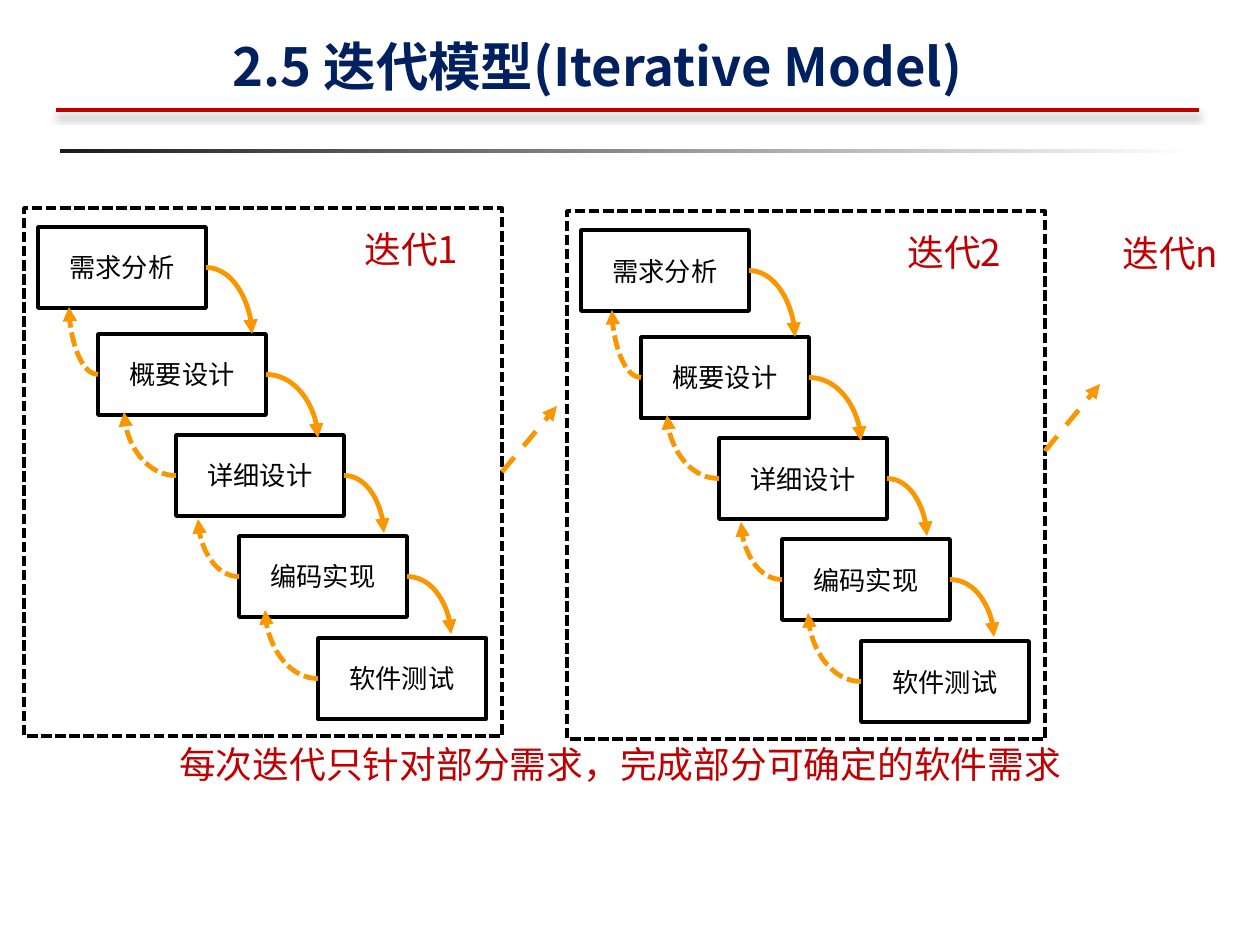
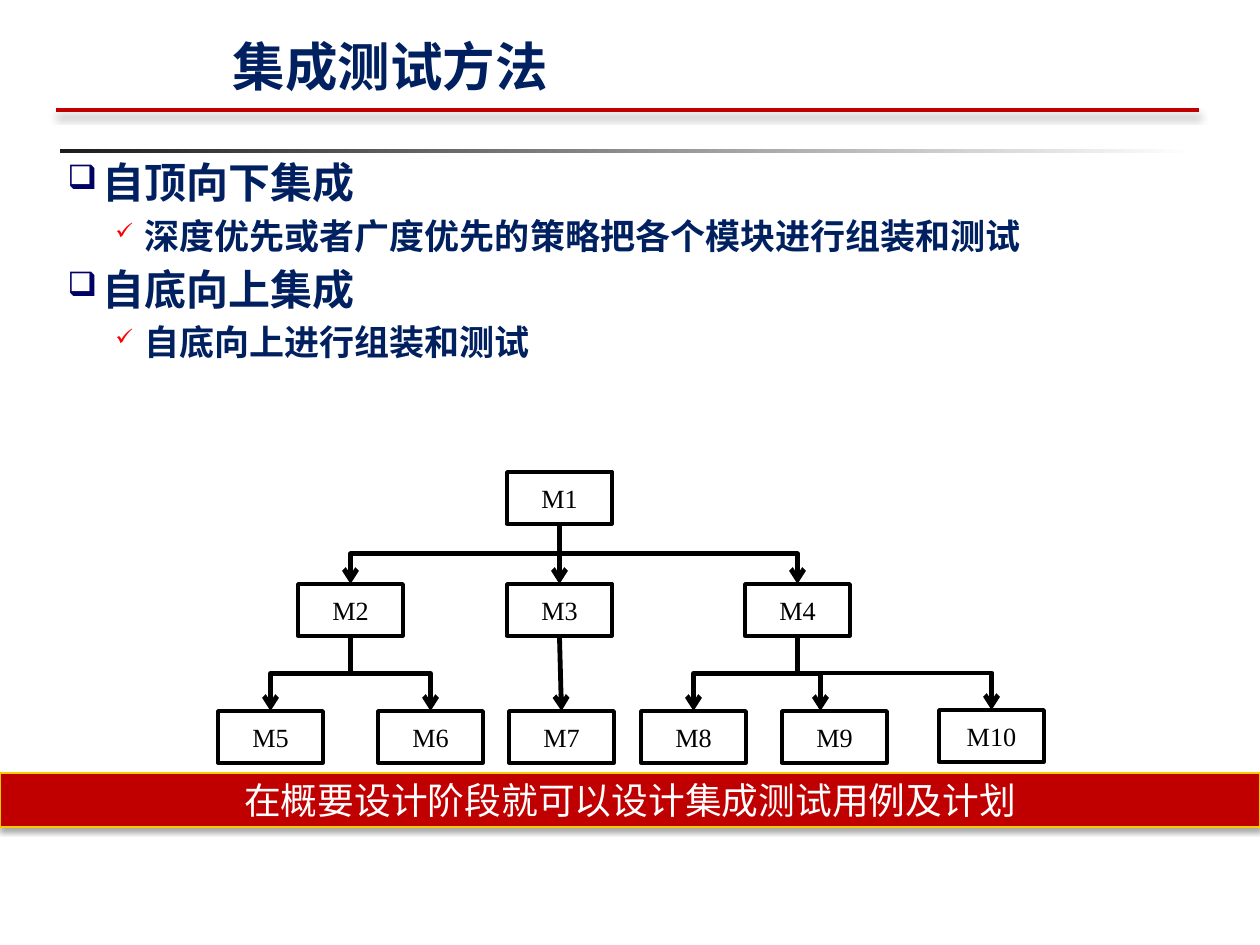
from lxml.etree import SubElement
from pptx import Presentation
from pptx.dml.color import RGBColor
from pptx.enum.dml import MSO_LINE_DASH_STYLE as Dash
from pptx.enum.shapes import MSO_CONNECTOR as Link, MSO_SHAPE as Shape
from pptx.enum.text import MSO_ANCHOR as Anchor, PP_ALIGN as Align
from pptx.oxml.ns import qn
from pptx.util import Inches, Pt

PX_PER_INCH = 126
EMU_PER_PT = 12700
SANS = "Noto Sans CJK SC"
SERIF = "Times New Roman"

BLACK = RGBColor(0x00, 0x00, 0x00)
WHITE = RGBColor(0xFF, 0xFF, 0xFF)
CHARCOAL = RGBColor(0x1C, 0x1C, 0x1C)
NAVY = RGBColor(0x00, 0x20, 0x60)
INDIGO = RGBColor(0x00, 0x00, 0x66)
DARK_RED = RGBColor(0xC0, 0x00, 0x00)
RED = RGBColor(0xFF, 0x00, 0x00)
ORANGE = RGBColor(0xF9, 0x96, 0x00)
GOLD = RGBColor(0xFA, 0xCB, 0x00)

STEP_SIZE = (168, 81)
STEPS = [
    ("需求分析", 14, 19),
    ("概要设计", 74, 126),
    ("详细设计", 152, 227),
    ("编码实现", 215, 328),
    ("软件测试", 294, 430),
]
FORWARD_ENDS = [(228, 126), (294, 230), (360, 325), (427, 426)]
BACKWARD_ENDS = [(45, 99), (100, 204), (174, 311), (241, 402)]

MODULE_SIZE = (105, 52)
MODULES = {
    "M1": (507, 472),
    "M2": (298, 584), "M3": (507, 584), "M4": (745, 584),
    "M5": (218, 711), "M6": (378, 711), "M7": (509, 711),
    "M8": (641, 711), "M9": (782, 711), "M10": (939, 710),
}
CALLS = {
    "M1": ["M2", "M3", "M4"],
    "M2": ["M5", "M6"],
    "M3": ["M7"],
    "M4": ["M8", "M9", "M10"],
}
ENTRY_SHIFT = {"M9": -14}

POINTS = [
    (0, "自顶向下集成"),
    (1, "深度优先或者广度优先的策略把各个模块进行组装和测试"),
    (0, "自底向上集成"),
    (1, "自底向上进行组装和测试"),
]
LEVELS = [
    dict(size=24, line=28, before=4.8, margin=35, hang=35,
         mark="❑", color=INDIGO, percent=80),
    dict(size=20, line=24, before=4, margin=77, hang=29,
         mark="✓", color=RED, percent=65),
]


def px(length):
    return round(Inches(1) * length / PX_PER_INCH)


def emu(*lengths):
    return [px(length) for length in lengths]


def style_para(para, size, color, font=SANS, bold=False, align=Align.LEFT):
    para.alignment = align
    for span in para.runs:
        span.font.size = Pt(size)
        span.font.name = font
        span.font.bold = bold
        span.font.color.rgb = color
        SubElement(span._r.get_or_add_rPr(), qn("a:ea"), typeface=SANS)


def set_effects(shape, blur=0, distance=0, opacity=0):
    effects = SubElement(shape.element.spPr, qn("a:effectLst"))
    if opacity:
        shadow = SubElement(effects, qn("a:outerShdw"), dir="5400000", rotWithShape="0",
                            blurRad=str(round(blur * EMU_PER_PT)),
                            dist=str(round(distance * EMU_PER_PT)))
        tint = SubElement(shadow, qn("a:srgbClr"), val=str(BLACK))
        SubElement(tint, qn("a:alpha"), val=str(opacity * 1000))


def add_box(shapes, place, fill=WHITE, line=BLACK, width=2, dash=None, **shadow):
    box = shapes.add_shape(Shape.RECTANGLE, *emu(*place))
    box.fill.solid()
    box.fill.fore_color.rgb = fill
    box.line.color.rgb = line
    box.line.width = Pt(width)
    if dash:
        box.line.dash_style = dash
    set_effects(box, **shadow)
    return box


def write_centred(box, text, size, color, font):
    frame = box.text_frame
    frame.text = text
    frame.word_wrap = True
    frame.vertical_anchor = Anchor.MIDDLE
    frame.margin_top = frame.margin_bottom = 0
    style_para(frame.paragraphs[0], size, color, font, align=Align.CENTER)


def add_label(shapes, place, text, align=Align.LEFT):
    frame = shapes.add_textbox(*emu(*place)).text_frame
    frame.word_wrap = True
    frame.margin_top = frame.margin_bottom = 0
    frame.text = text
    style_para(frame.paragraphs[0], 21, DARK_RED, align=align)


def add_link(shapes, kind, start, end, color, width=2.75, dash=None, head=None, **shadow):
    link = shapes.add_connector(kind, *emu(*start, *end))
    link.line.color.rgb = color
    link.line.width = Pt(width)
    if dash:
        link.line.dash_style = dash
    if head:
        SubElement(link.element.spPr.find(qn("a:ln")), qn("a:tailEnd"), type=head)
    set_effects(link, **shadow)
    return link


def turn(link, degrees, flip=False):
    xfrm = link.element.spPr.find(qn("a:xfrm"))
    xfrm.rot = degrees
    xfrm.flipH = flip
    xfrm.flipV = False


def add_curve(shapes, step, site, end, dash=None):
    left, top, width, height = step.left, step.top, step.width, step.height
    start_x = left + width if site == 3 else left
    start = [edge * PX_PER_INCH / Inches(1) for edge in (start_x, top + height / 2)]
    curve = add_link(shapes, Link.CURVE, start, end, ORANGE, dash=dash, head="triangle")
    curve.begin_connect(step, site)
    curve.element.spPr.find(qn("a:prstGeom")).set("prst", "curvedConnector2")
    if site == 1:
        turn(curve, 180)


def add_iteration(page, left, top, label):
    shapes = page.shapes.add_group_shape().shapes
    frame = add_box(shapes, (left, top, 478, 528), dash=Dash.SQUARE_DOT)
    frame.line.dash_style = Dash.SQUARE_DOT
    boxes = []
    for name, x, y in STEPS:
        box = add_box(shapes, (left + x, top + y, *STEP_SIZE))
        write_centred(box, name, 15, BLACK, SERIF)
        boxes.append(box)
    for box, (x, y) in zip(boxes, FORWARD_ENDS):
        add_curve(shapes, box, 3, (left + x, top + y))
    for box, (x, y) in zip(boxes[1:], BACKWARD_ENDS):
        add_curve(shapes, box, 1, (left + x, top + y), Dash.SQUARE_DOT)
    add_label(shapes, (left + 328, top + 19, 136, 57), label)
    return frame


def add_onward_arrow(page, start, end):
    return add_link(page.shapes, Link.STRAIGHT, start, end, ORANGE,
                    dash=Dash.DASH, head="triangle")


def add_call(page, boxes, caller, callee):
    half = MODULE_SIZE[0] / 2
    x1, y1 = MODULES[caller][0] + half, MODULES[caller][1] + MODULE_SIZE[1]
    shift = ENTRY_SHIFT.get(callee, 0)
    x2, y2 = MODULES[callee][0] + half + shift, MODULES[callee][1]
    straight = abs(x2 - x1) < 5
    kind = Link.STRAIGHT if straight else Link.ELBOW
    link = add_link(page.shapes, kind, (x1, y1), (x2, y2), BLACK, head="arrow")
    link.begin_connect(boxes[caller], 2)
    if not shift:
        link.end_connect(boxes[callee], 0)
    if not straight:
        drop, reach = y2 - y1, abs(x2 - x1)
        link.left, link.top, link.width, link.height = emu(
            (x1 + x2 - drop) / 2, (y1 + y2 - reach) / 2, drop, reach)
        rightward = x2 > x1
        turn(link, 270 if rightward else 90, rightward)


def add_points(page):
    frame = page.shapes.add_textbox(*emu(55, 152, 1129, 694)).text_frame
    frame.word_wrap = True
    for index, (depth, text) in enumerate(POINTS):
        level = LEVELS[depth]
        para = frame.add_paragraph() if index else frame.paragraphs[0]
        para.text = text
        para.level = depth
        para.line_spacing = Pt(level["line"])
        para.space_before = Pt(level["before"])
        style_para(para, level["size"], NAVY, SERIF, bold=True)
        props = para._p.get_or_add_pPr()
        props.set("marL", str(px(level["margin"])))
        props.set("indent", str(-px(level["hang"])))
        tint = SubElement(props, qn("a:buClr"))
        SubElement(tint, qn("a:srgbClr"), val=str(level["color"]))
        SubElement(props, qn("a:buSzPct"), val=str(level["percent"] * 1000))
        SubElement(props, qn("a:buChar"), char=level["mark"])


def add_page(deck, heading):
    page = deck.slides.add_slide(deck.slide_layouts[5])
    rule = add_box(page.shapes, (60, 149, 1134, 4))
    rule.line.fill.background()
    rule.fill.gradient()
    rule.fill.gradient_angle = 0
    for stop, color, position in zip(rule.fill.gradient_stops, (CHARCOAL, WHITE), (0, 1)):
        stop.color.rgb = color
        stop.position = position
    add_link(page.shapes, Link.STRAIGHT, (56, 110), (1199, 110), DARK_RED, 2.25,
             blur=4, distance=3, opacity=40)
    title = page.shapes.title
    title.left, title.top, title.width, title.height = emu(220, 20, 964, 77)
    frame = title.text_frame
    frame.text = heading
    frame.vertical_anchor = Anchor.BOTTOM
    frame.margin_top = frame.margin_bottom = 0
    style_para(frame.paragraphs[0], 30, NAVY, bold=True)
    return page


def build_iterative_model(deck):
    page = add_page(deck, "2.5 迭代模型(Iterative Model)")
    first = add_iteration(page, 24, 208, "迭代1")
    add_onward_arrow(page, (502, 472), (557, 406)).begin_connect(first, 3)
    add_iteration(page, 567, 211, "迭代2")
    add_onward_arrow(page, (1045, 451), (1100, 384))
    add_label(page.shapes, (1110, 231, 136, 57), "迭代n")
    add_label(page.shapes, (19, 742, 1202, 57),
              "每次迭代只针对部分需求，完成部分可确定的软件需求", Align.CENTER)


def build_integration_testing(deck):
    page = add_page(deck, "集成测试方法")
    add_points(page)
    boxes = {}
    for name, corner in MODULES.items():
        boxes[name] = add_box(page.shapes, (*corner, *MODULE_SIZE))
        write_centred(boxes[name], name, 15, BLACK, SERIF)
    for caller, callees in CALLS.items():
        for callee in callees:
            add_call(page, boxes, caller, callee)
    band = add_box(page.shapes, (0, 773, 1260, 54), DARK_RED, GOLD, 0.75,
                   blur=3.1, distance=1.8, opacity=35)
    write_centred(band, "在概要设计阶段就可以设计集成测试用例及计划", 21, WHITE, SANS)


def main():
    deck = Presentation()
    deck.slide_width, deck.slide_height = emu(1260, 945)
    build_iterative_model(deck)
    build_integration_testing(deck)
    deck.save("out.pptx")


if __name__ == "__main__":
    main()
